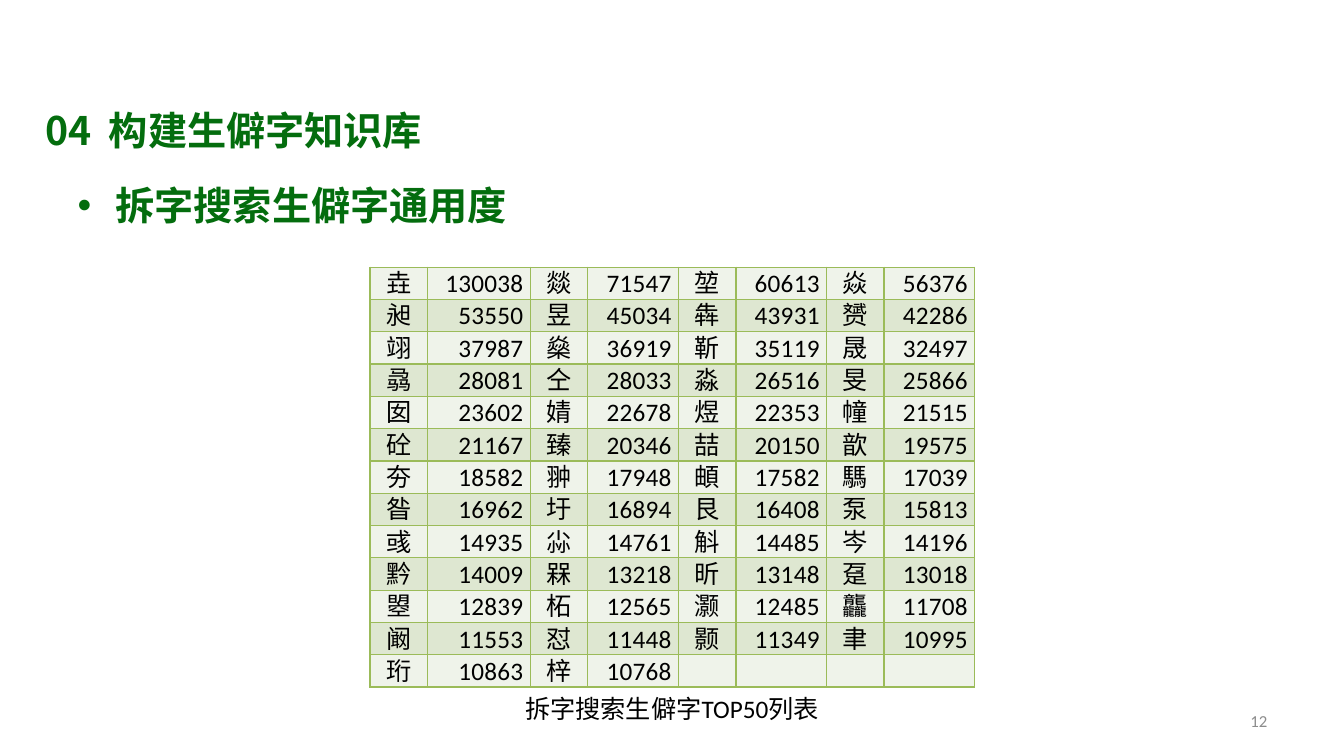
from lxml import etree
from pptx import Presentation
from pptx.dml.color import RGBColor
from pptx.enum.text import MSO_ANCHOR, MSO_AUTO_SIZE, PP_ALIGN
from pptx.oxml.ns import qn
from pptx.util import Inches, Pt

LEFT, CENTER, RIGHT = PP_ALIGN.LEFT, PP_ALIGN.CENTER, PP_ALIGN.RIGHT
TOP, MIDDLE = MSO_ANCHOR.TOP, MSO_ANCHOR.MIDDLE
NO_FIT = MSO_AUTO_SIZE.NONE

HEADING_FONT, TEXT_FONT = "Noto Sans CJK SC", "Calibri"
GREEN, BLACK, GRAY = "046D0E", "000000", "8C8C8C"
BORDER = "9BBB59"
BANDS = ("EFF3EA", "DEE7D1")

COLUMN_WIDTHS = (0.57, 1.02) + (0.57, 0.9) * 3
ROW_HEIGHT = 0.3
CHARACTER_COUNTS = """
垚 130038 燚 71547 堃 60613 焱 56376
昶 53550 昱 45034 犇 43931 赟 42286
翊 37987 燊 36919 靳 35119 晟 32497
骉 28081 仝 28033 淼 26516 旻 25866
囡 23602 婧 22678 煜 22353 幢 21515
砼 21167 臻 20346 喆 20150 歆 19575
夯 18582 翀 17948 頔 17582 騳 17039
昝 16962 圩 16894 艮 16408 泵 15813
彧 14935 尛 14761 斛 14485 岑 14196
黔 14009 槑 13218 昕 13148 趸 13018
曌 12839 柘 12565 灏 12485 龘 11708
阚 11553 怼 11448 颢 11349 聿 10995
珩 10863 梓 10768
"""


def color(value):
    return RGBColor.from_string(value)


def style_paragraph(para, size, value, align=LEFT, name=TEXT_FONT, bold=False):
    """Format a paragraph, using one font for Latin and Chinese text."""
    para.alignment = align
    font = para.font
    font.size, font.bold, font.name = Pt(size), bold, name
    font.color.rgb = color(value)
    defaults = para._p.pPr.find(qn("a:defRPr"))
    latin = defaults.find(qn("a:latin"))
    east_asian = etree.Element(qn("a:ea"), typeface=name)
    latin.addnext(east_asian)


def set_tracking(span, points):
    span._r.get_or_add_rPr().set("spc", str(round(points * 100)))


def place(box, left, top, width, height, anchor=TOP):
    box.left, box.top = Inches(left), Inches(top)
    box.width, box.height = Inches(width), Inches(height)
    frame = box.text_frame
    frame.word_wrap = True
    frame.auto_size = NO_FIT
    frame.vertical_anchor = anchor
    return frame.paragraphs[0]


def add_label(page, text, left, top, width, height, size, value, align, anchor=TOP):
    box = page.shapes.add_textbox(0, 0, 0, 0)
    para = place(box, left, top, width, height, anchor)
    para.text = text
    style_paragraph(para, size, value, align)


def add_heading(page):
    para = place(page.shapes.title, 0.35, 1, 5.13, 0.57)
    for text in ("04", " ", "构建生僻字知识库"):
        span = para.add_run()
        span.text = text
        if text == " ":
            set_tracking(span, 6)  # widen the gap after the number
    style_paragraph(para, 28, GREEN, name=HEADING_FONT, bold=True)


def add_bullet(page):
    para = place(page.placeholders[1], 0.67, 1.75, 12, 4.95)
    para.text = "拆字搜索生僻字通用度"
    para.space_before = Pt(0)
    style_paragraph(para, 28, GREEN, name=HEADING_FONT, bold=True)


def set_borders(cell):
    properties = cell._tc.get_or_add_tcPr()
    for position, side in enumerate(("lnL", "lnR", "lnT", "lnB")):
        line = etree.Element(qn(f"a:{side}"), w=str(Pt(1)))
        fill = etree.SubElement(line, qn("a:solidFill"))
        etree.SubElement(fill, qn("a:srgbClr"), val=BORDER)
        properties.insert(position, line)


def fill_cell(cell, text, align, band):
    cell.margin_left = cell.margin_right = Inches(0.07)
    cell.margin_top = cell.margin_bottom = 0
    cell.vertical_anchor = MIDDLE
    cell.fill.solid()
    cell.fill.fore_color.rgb = color(band)
    set_borders(cell)
    para = cell.text_frame.paragraphs[0]
    para.line_spacing = 1.05
    if text:
        span = para.add_run()
        span.text = text
        set_tracking(span, 0.2)
    style_paragraph(para, 18, BLACK, align)


def add_count_table(page):
    rows = [line.split() for line in CHARACTER_COUNTS.strip().splitlines()]
    frame = page.shapes.add_table(
        len(rows), len(COLUMN_WIDTHS), Inches(3.67), Inches(2.65),
        Inches(sum(COLUMN_WIDTHS)), Inches(ROW_HEIGHT * len(rows)))
    table = frame.table
    table.first_row = table.horz_banding = False
    for column, width in zip(table.columns, COLUMN_WIDTHS):
        column.width = Inches(width)
    for row_index, values in enumerate(rows):
        table.rows[row_index].height = Inches(ROW_HEIGHT)
        for column_index in range(len(COLUMN_WIDTHS)):
            text = values[column_index] if column_index < len(values) else ""
            align = RIGHT if column_index % 2 else CENTER
            fill_cell(table.cell(row_index, column_index), text, align,
                      BANDS[row_index % 2])


def main():
    deck = Presentation()
    deck.slide_width, deck.slide_height = Inches(13.33), Inches(7.5)
    page = deck.slides.add_slide(deck.slide_layouts[1])

    # Heading and topic
    add_bullet(page)
    add_heading(page)

    # Table with caption and page number
    add_label(page, "12", 9.56, 6.95, 3.11, 0.4, 12, GRAY, RIGHT, MIDDLE)
    add_count_table(page)
    add_label(page, "拆字搜索生僻字TOP50列表", 1.64, 6.83, 10.05, 0.4, 18, BLACK, CENTER)

    deck.save("out.pptx")


if __name__ == "__main__":
    main()
